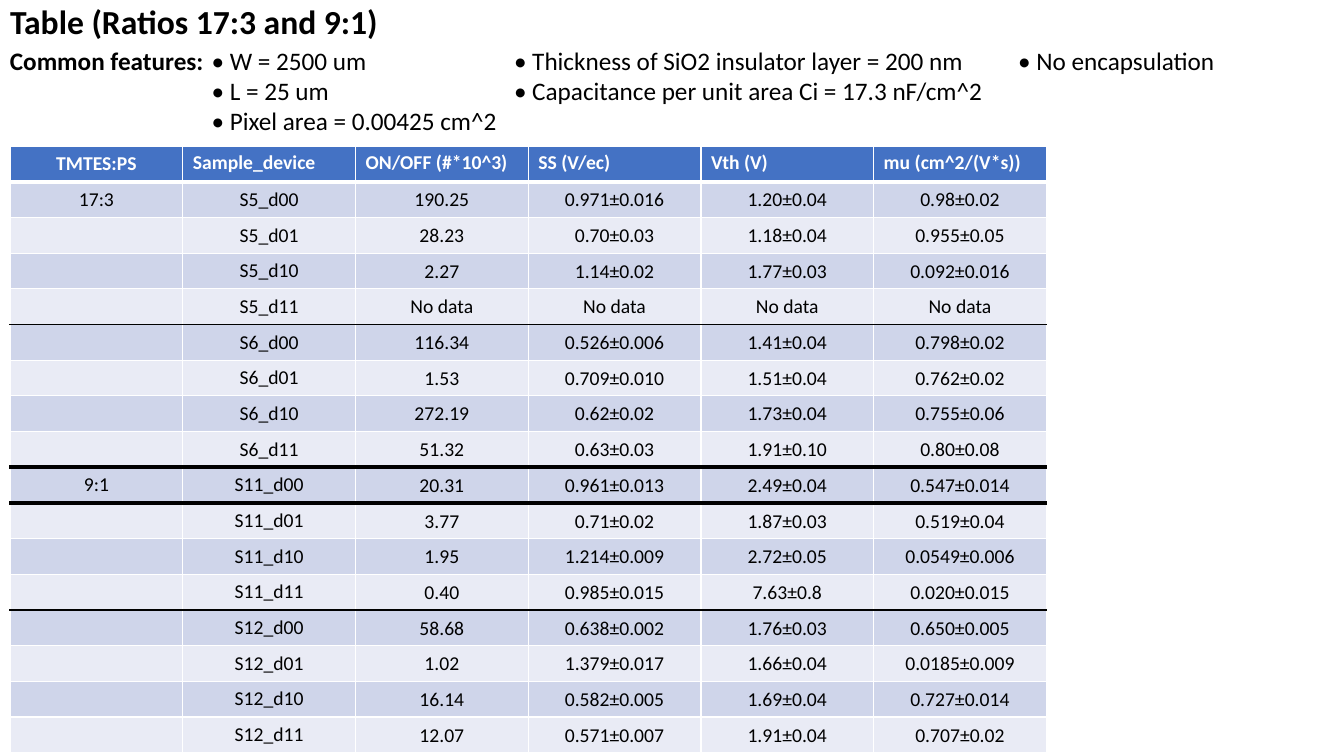
from lxml.etree import SubElement
from pptx import Presentation
from pptx.dml.color import RGBColor
from pptx.enum.text import MSO_ANCHOR, MSO_AUTO_SIZE, PP_ALIGN
from pptx.oxml.ns import qn
from pptx.util import Inches, Pt

BLACK = RGBColor(0x00, 0x00, 0x00)
WHITE = RGBColor(0xFF, 0xFF, 0xFF)
HEADER_BLUE = RGBColor(0x44, 0x72, 0xC4)
BAND_DARK = RGBColor(0xCF, 0xD5, 0xEA)
BAND_LIGHT = RGBColor(0xE9, 0xEB, 0xF5)

TITLE = "Table (Ratios 17:3 and 9:1)"
FEATURES = [
    ("Common features:", "• W = 2500 um",
     "• Thickness of SiO2 insulator layer = 200 nm", "• No encapsulation"),
    ("", "• L = 25 um", "• Capacitance per unit area Ci = 17.3 nF/cm^2"),
    ("", "• Pixel area = 0.00425 cm^2"),
]
FEATURE_TABS = (20, 50, 100)  # grid cells from the text's left edge

MEASUREMENTS = [
    ("TMTES:PS", "Sample_device", "ON/OFF (#*10^3)", "SS (V/ec)", "Vth (V)", "mu (cm^2/(V*s))"),
    ("17:3", "S5_d00", "190.25", "0.971±0.016", "1.20±0.04", "0.98±0.02"),
    ("", "S5_d01", "28.23", "0.70±0.03", "1.18±0.04", "0.955±0.05"),
    ("", "S5_d10", "2.27", "1.14±0.02", "1.77±0.03", "0.092±0.016"),
    ("", "S5_d11", "No data", "No data", "No data", "No data"),
    ("", "S6_d00", "116.34", "0.526±0.006", "1.41±0.04", "0.798±0.02"),
    ("", "S6_d01", "1.53", "0.709±0.010", "1.51±0.04", "0.762±0.02"),
    ("", "S6_d10", "272.19", "0.62±0.02", "1.73±0.04", "0.755±0.06"),
    ("", "S6_d11", "51.32", "0.63±0.03", "1.91±0.10", "0.80±0.08"),
    ("9:1", "S11_d00", "20.31", "0.961±0.013", "2.49±0.04", "0.547±0.014"),
    ("", "S11_d01", "3.77", "0.71±0.02", "1.87±0.03", "0.519±0.04"),
    ("", "S11_d10", "1.95", "1.214±0.009", "2.72±0.05", "0.0549±0.006"),
    ("", "S11_d11", "0.40", "0.985±0.015", "7.63±0.8", "0.020±0.015"),
    ("", "S12_d00", "58.68", "0.638±0.002", "1.76±0.03", "0.650±0.005"),
    ("", "S12_d01", "1.02", "1.379±0.017", "1.66±0.04", "0.0185±0.009"),
    ("", "S12_d10", "16.14", "0.582±0.005", "1.69±0.04", "0.727±0.014"),
    ("", "S12_d11", "12.07", "0.571±0.007", "1.91±0.04", "0.707±0.02"),
]
# Rules below a table row: row number -> (colour, points)
PLAIN_RULE = (WHITE, 1)
ROW_RULES = {0: (WHITE, 3), 4: (BLACK, 1), 8: (BLACK, 3), 9: (BLACK, 3), 12: (BLACK, 1)}


class SlideBuilder:
    """Places elements on a grid of tenth-inch cells in one style."""

    font_name = "Calibri"
    title_size, feature_size, table_size = 24, 18, 14
    tight_margin = Inches(0.01)

    def __init__(self, slide):
        self.slide = slide

    def grid(self, *cells):
        return [Inches(cell / 10) for cell in cells]

    def format_run(self, run, size, color=BLACK, bold=False):
        run.font.name = self.font_name
        run.font.size = Pt(size)
        run.font.bold = bold
        run.font.color.rgb = color

    def add_title(self, text, *box):
        title = self.slide.shapes.title
        title.left, title.top, title.width, title.height = self.grid(*box)
        text_frame = title.text_frame
        text_frame.text = text
        text_frame.auto_size = MSO_AUTO_SIZE.NONE
        text_frame.vertical_anchor = MSO_ANCHOR.TOP
        paragraph = text_frame.paragraphs[0]
        paragraph.alignment = PP_ALIGN.LEFT
        paragraph.line_spacing = 0.9
        self.format_run(paragraph.runs[0], self.title_size, bold=True)

    def add_tabbed_text(self, lines, tabs, *box):
        text_frame = self.slide.shapes.add_textbox(*self.grid(*box)).text_frame
        text_frame.word_wrap = True
        for index, (label, *items) in enumerate(lines):
            paragraph = text_frame.add_paragraph() if index else text_frame.paragraphs[0]
            tab_list = SubElement(paragraph._p.get_or_add_pPr(), qn("a:tabLst"))
            for position in self.grid(*tabs):
                SubElement(tab_list, qn("a:tab"), pos=str(position), algn="l")
            for text, bold in ((label, True), ("\t" + "\t".join(items), False)):
                if text:
                    run = paragraph.add_run()
                    run.text = text
                    self.format_run(run, self.feature_size, bold=bold)

    def add_table(self, rows, *box):
        left, top, width, height = self.grid(*box)
        table = self.slide.shapes.add_table(
            len(rows), len(rows[0]), left, top, width, height).table
        for row_index, row in enumerate(rows):
            for column_index, text in enumerate(row):
                self.fill_cell(table.cell(row_index, column_index), row_index, column_index, text)

    def fill_cell(self, cell, row_index, column_index, text):
        is_header = row_index == 0
        # Borders go in ahead of the fill
        above = ROW_RULES.get(row_index - 1, PLAIN_RULE)
        below = ROW_RULES.get(row_index, PLAIN_RULE)
        borders = {"L": PLAIN_RULE, "R": PLAIN_RULE,
                   "T": PLAIN_RULE if is_header else above, "B": below}
        for side, (color, points) in borders.items():
            self.add_border(cell, side, color, points)
        cell.fill.solid()
        band = BAND_DARK if row_index % 2 else BAND_LIGHT
        cell.fill.fore_color.rgb = HEADER_BLUE if is_header else band

        # Text
        if not text or (column_index > 1 and not is_header):
            cell.margin_left = cell.margin_right = cell.margin_top = self.tight_margin
            cell.margin_bottom = 0
        if not text:
            return
        cell.text_frame.text = text
        paragraph = cell.text_frame.paragraphs[0]
        if not is_header or column_index == 0:
            cell.vertical_anchor = MSO_ANCHOR.MIDDLE
            paragraph.alignment = PP_ALIGN.CENTER
        self.format_run(paragraph.runs[0], self.table_size,
                        WHITE if is_header else BLACK, is_header)

    def add_border(self, cell, side, color, points):
        properties = cell._tc.get_or_add_tcPr()
        line = SubElement(properties, qn(f"a:ln{side}"), w=str(Pt(points)))
        fill = SubElement(line, qn("a:solidFill"))
        SubElement(fill, qn("a:srgbClr"), val=str(color))


def main():
    presentation = Presentation()
    presentation.slide_width = Inches(13.33)
    presentation.slide_height = Inches(7.5)
    title_only = presentation.slide_layouts[5]
    builder = SlideBuilder(presentation.slides.add_slide(title_only))

    # Heading, measurements and shared device features
    builder.add_title(TITLE, 0, 0, 115, 14.5)
    builder.add_table(MEASUREMENTS, 1, 14.5, 102.8, 60.2)
    builder.add_tabbed_text(FEATURES, FEATURE_TABS, 0, 4, 132.4, 16.2)

    presentation.save("out.pptx")


if __name__ == "__main__":
    main()
